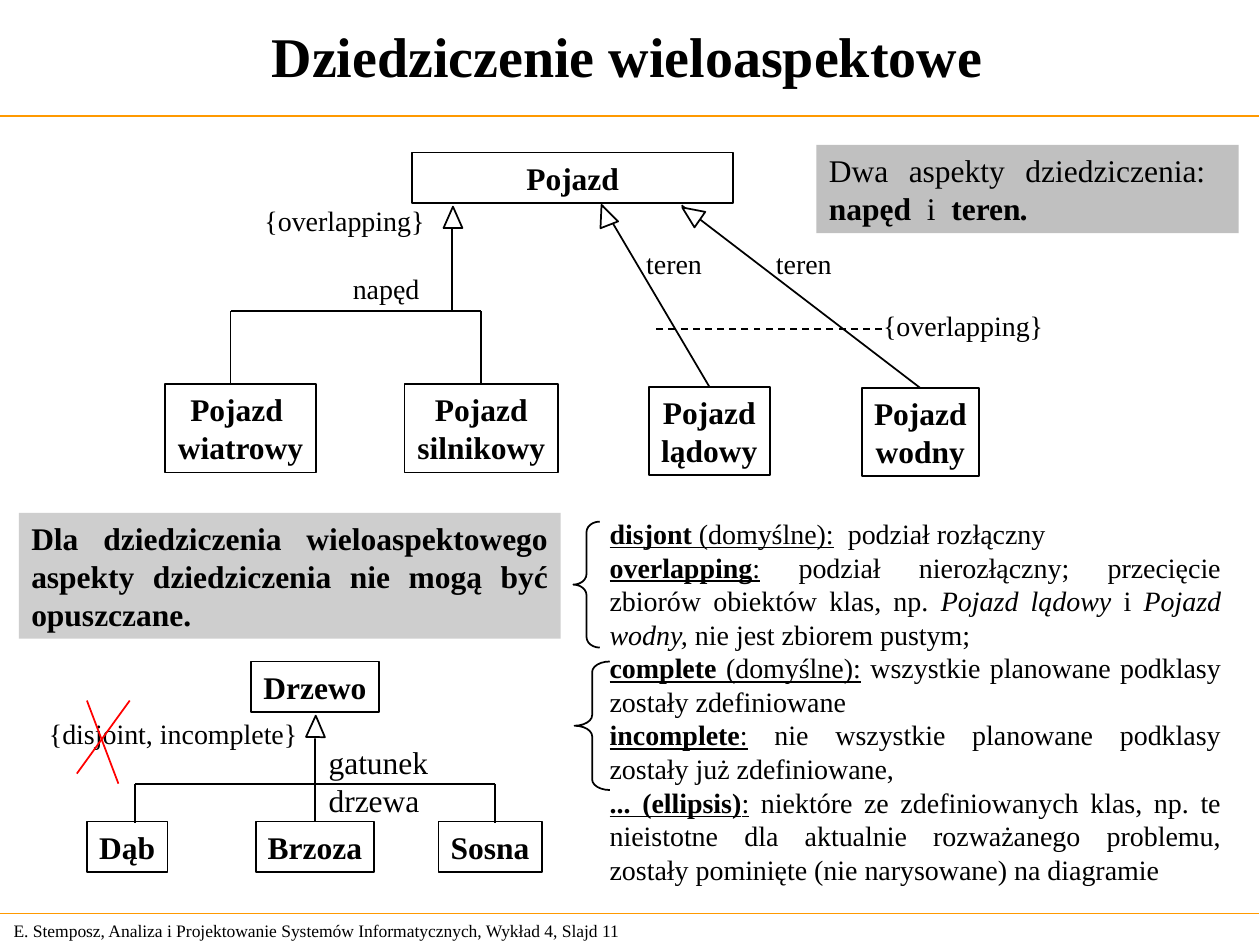
from pptx import Presentation
from pptx import util as u
from pptx.dml.color import RGBColor
from pptx.enum import dml, shapes, text
from pptx.oxml.ns import qn

FONT = "Times New Roman"
KIND = shapes.MSO_SHAPE
LEFT, MID, JUST = text.PP_ALIGN.LEFT, text.PP_ALIGN.CENTER, text.PP_ALIGN.JUSTIFY


def paint(color, code):
    color.rgb = RGBColor.from_string(code)


def write(frame, paras, size, align, bold=False, wrap=False):
    """Each paragraph is a string or a list of (words, style letters)."""
    frame.word_wrap = wrap
    frame.vertical_anchor = text.MSO_ANCHOR.TOP
    for i, para in enumerate(paras):
        line = frame.paragraphs[0] if i == 0 else frame.add_paragraph()
        line.alignment = align
        if isinstance(para, str):
            para = [(para, "b" if bold else "")]
        for words, style in para:
            run = line.add_run()
            run.text = words
            font = run.font
            font.name, font.size = FONT, u.Pt(size)
            font.bold, font.italic = "b" in style, "i" in style
            font.underline = "u" in style
            paint(font.color, "000000")


deck = Presentation()
deck.slide_width, deck.slide_height = u.Inches(10), u.Inches(7.5)
slide = deck.slides.add_slide(deck.slide_layouts[5])
parts = slide.shapes

# Title
title = parts.title
title.left, title.top, title.width, title.height = map(u.Inches, (0, 0.01, 9.96, 0.85))
write(title.text_frame, ["Dziedziczenie wieloaspektowe"], 32, MID, bold=True, wrap=True)
title.text_frame.vertical_anchor = text.MSO_ANCHOR.MIDDLE

# Class boxes and grey notes: place, paragraphs, fill
nodes = {}
for name, place, paras, fill in [
    ("vehicle", (3.27, 1.21, 2.55, 0.4), ["Pojazd"], None),
    ("wind", (1.31, 3.05, 1.2, 0.7), ["Pojazd ", "wiatrowy"], None),
    ("motor", (3.21, 3.05, 1.22, 0.7), ["Pojazd", "silnikowy"], None),
    ("land", (5.15, 3.07, 0.96, 0.7), ["Pojazd", "lądowy"], None),
    ("water", (6.84, 3.08, 0.93, 0.7), ["Pojazd", "wodny"], None),
    ("tree", (1.99, 5.25, 1.02, 0.4), ["Drzewo"], None),
    ("oak", (0.69, 6.52, 0.64, 0.4), ["Dąb"], None),
    ("birch", (2.03, 6.52, 0.94, 0.4), ["Brzoza"], None),
    ("pine", (3.48, 6.52, 0.82, 0.4), ["Sosna"], None),
    ("rule", (0.15, 4.07, 4.3, 1),
     ["Dla dziedziczenia wieloaspektowego aspekty dziedziczenia nie mogą być opuszczane."],
     "CECECE"),
    ("aspects", (6.48, 1.15, 3.35, 0.7),
     [[("Dwa aspekty dziedziczenia:  ", ""), ("napęd", "b"), ("  i  ", ""),
       ("teren", "b"), (".", "bi")]], "C0C0C0"),
]:
    box = parts.add_shape(KIND.RECTANGLE, *map(u.Inches, place))
    box.shadow.inherit = False
    if fill:
        box.fill.solid()
        paint(box.fill.fore_color, fill)
        box.line.fill.background()
    else:
        box.fill.background()
        paint(box.line.color, "000000")
        box.line.width = u.Pt(1)
    write(box.text_frame, paras, 18, JUST if fill else MID, bold=True, wrap=bool(fill))
    nodes[name] = box

# Labels and footer
for place, words, size, align in [
    ((2, 1.57, 1.47, 0.36), "{overlapping}", 16, MID),
    ((6.91, 2.4, 1.47, 0.36), "{overlapping}", 16, MID),
    ((2.7, 2.11, 0.73, 0.37), "napęd", 16, MID),
    ((5.03, 1.91, 0.64, 0.37), "teren", 16, MID),
    ((6.06, 1.91, 0.64, 0.37), "teren", 16, MID),
    ((0.29, 5.64, 2.17, 0.36), "{disjoint, incomplete}", 16, MID),
    ((2.51, 5.85, 1.77, 0.4), "gatunek drzewa", 18, LEFT),
    ((0.01, 7.25, 5.24, 0.27), "E. Stemposz, Analiza i Projektowanie Systemów "
     "Informatycznych, Wykład 4, Slajd 11", 10, LEFT),
]:
    label = parts.add_textbox(*map(u.Inches, place))
    write(label.text_frame, [words], size, align)

# Definitions
terms = parts.add_textbox(*map(u.Inches, (4.74, 4.05, 5.05, 3.03)))
write(terms.text_frame, [
    [("disjont", "bu"), (" (domyślne):", "u"), ("  podział rozłączny ", "")],
    [("overlapping", "bu"), (":", "u"),
     ("  podział  nierozłączny;  przecięcie zbiorów obiektów klas, np. ", ""),
     ("Pojazd lądowy ", "i"), ("i ", ""), ("Pojazd wodny, ", "i"),
     ("nie jest zbiorem pustym; ", "")],
    [("complete", "bu"), (" (domyślne):", "u"),
     (" wszystkie planowane podklasy zostały zdefiniowane", "")],
    [("incomplete", "bu"), (":", "u"),
     (" nie wszystkie planowane podklasy zostały już zdefiniowane, ", "")],
    [("... (ellipsis)", "bu"), (":", "u"),
     (" niektóre ze zdefiniowanych klas, np. te nieistotne dla aktualnie rozważanego "
      "problemu, zostały pominięte (nie narysowane) na diagramie", "")],
], 16, JUST, wrap=True)

# Lines: ends, colour, width, box joined at its top
for ends, color, width, node in [
    ((-0.01, 0.92, 9.99, 0.92), "FF9900", 1, None),
    ((-0.01, 7.25, 9.99, 7.25), "FF9900", 0.75, None),
    ((5.41, 1.63, 7.32, 3.08), "000000", 1, "water"),
    ((4.78, 1.63, 5.62, 3.08), "000000", 1, "land"),
    ((3.59, 1.81, 3.59, 2.48), "000000", 1, None),
    ((1.83, 2.47, 3.82, 2.47), "000000", 1, None),
    ((1.83, 2.47, 1.83, 3.05), "000000", 1, None),
    ((3.82, 2.47, 3.82, 3.05), "000000", 1, "motor"),
    ((1.07, 6.22, 3.93, 6.22), "000000", 1, None),
    ((1.07, 6.22, 1.07, 6.53), "000000", 1, None),
    ((2.5, 5.86, 2.5, 6.52), "000000", 1, "birch"),
    ((3.93, 6.22, 3.93, 6.53), "000000", 1, None),
    ((7, 2.61, 5.2, 2.61), "000000", 1, "dash"),
    ((0.69, 5.56, 0.94, 6.22), "FF0000", 1, None),
    ((0.61, 6.14, 1.03, 5.56), "FF0000", 1, None),
]:
    line = parts.add_connector(shapes.MSO_CONNECTOR.STRAIGHT, *map(u.Inches, ends))
    props = line._element.spPr
    paint(line.line.color, color)
    line.line.width = u.Pt(width)
    if node == "dash":
        line.line.dash_style = dml.MSO_LINE.DASH
    elif node:
        line.end_connect(nodes[node], 0)
    props.append(props.makeelement(qn("a:effectLst"), {}))

# Inheritance arrowheads
for left, top, turn, fill in [
    (5.41, 1.61, 304.7, "FFFFFF"),
    (4.73, 1.62, 338.7, "FFFFFF"),
    (3.52, 1.64, 0, None),
    (2.43, 5.68, 0.9, None),
]:
    head = parts.add_shape(KIND.ISOSCELES_TRIANGLE, *map(u.Inches, (left, top, 0.15, 0.17)))
    head.shadow.inherit = False
    head.rotation = turn
    if fill:
        head.fill.solid()
        paint(head.fill.fore_color, fill)
    else:
        head.fill.background()
    paint(head.line.color, "000000")
    head.line.width = u.Pt(1)

# Braces grouping the definitions
for place, curve in [((4.55, 4.14, 0.21, 1), 0.4), ((4.56, 5.25, 0.28, 1.02), 0.3)]:
    brace = parts.add_shape(KIND.LEFT_BRACE, *map(u.Inches, place))
    brace.shadow.inherit = False
    brace.adjustments[0] = curve
    brace.fill.background()
    paint(brace.line.color, "000000")
    brace.line.width = u.Pt(1)

deck.save("out.pptx")
